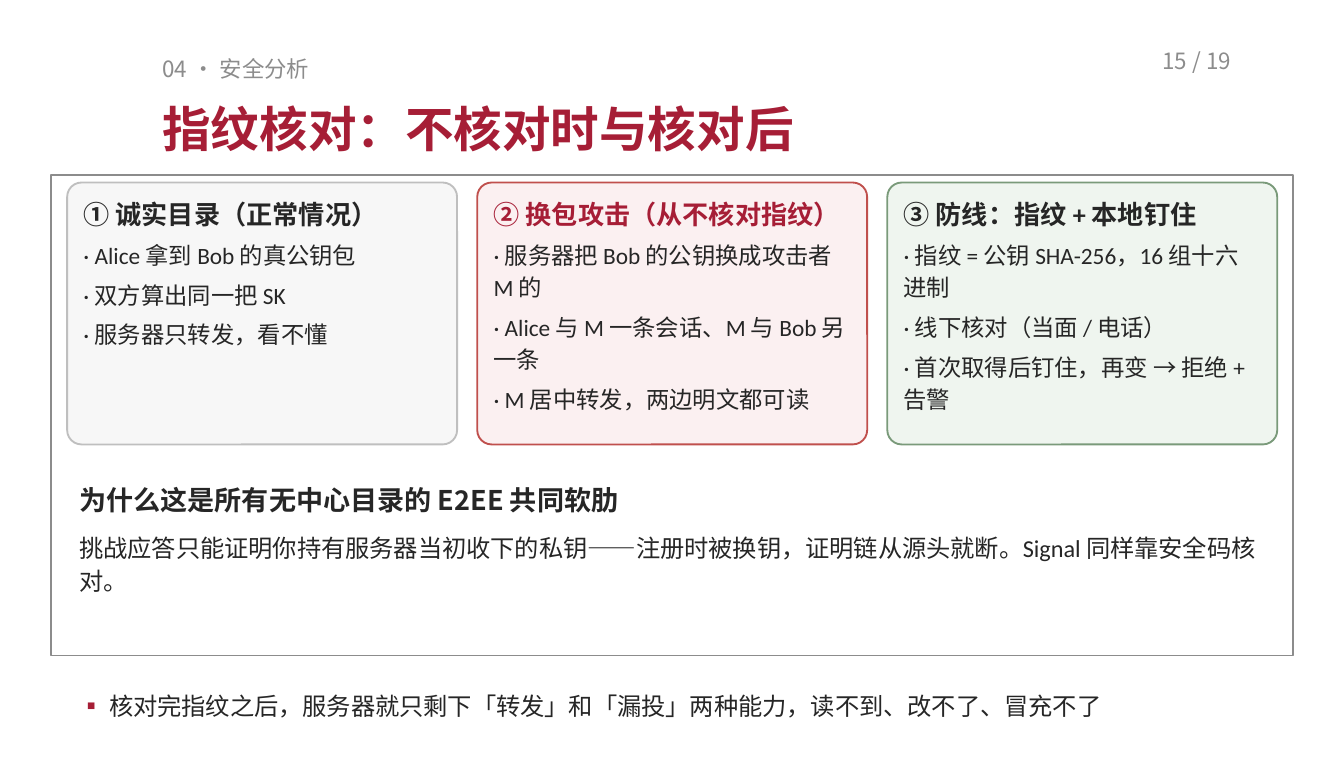
from pptx import Presentation
from pptx import util as u
from pptx.dml.color import RGBColor
from pptx.enum import shapes, text
from pptx.oxml.ns import qn

NOTO, CALIBRI = "Noto Sans CJK SC", "Calibri"
INK, RED, GRAY = "262626", "A61E36", "8C8C8C"


def color(value):
    return RGBColor.from_string(value)


class Deck:
    """Holds the style and the current slide, with a method for each kind of element."""

    def __init__(self, width, height):
        self.file = Presentation()
        self.file.slide_width, self.file.slide_height = u.Cm(width), u.Cm(height)
        self.slide = self.file.slides.add_slide(self.file.slide_layouts[5])

    def frame(self, shape, margins=(0.23, 0.13, 0.23, 0.1), grow=True):
        body = shape.text_frame
        body.word_wrap = True
        body.vertical_anchor = text.MSO_ANCHOR.TOP
        body.auto_size = text.MSO_AUTO_SIZE.SHAPE_TO_FIT_TEXT if grow else text.MSO_AUTO_SIZE.NONE
        body.margin_left, body.margin_top, body.margin_right, body.margin_bottom = map(u.Cm, margins)
        return body

    def add_runs(self, paragraph, runs, size, font=CALIBRI, spacing=1.15, after=4):
        paragraph.alignment = text.PP_ALIGN.LEFT
        paragraph.line_spacing = spacing
        paragraph.space_before, paragraph.space_after = u.Pt(0), u.Pt(after)
        for words, ink, bold in runs:
            run = paragraph.add_run()
            run.text = words
            run.font.size, run.font.bold, run.font.name = u.Pt(size), bold, font
            run.font.color.rgb = color(ink)
            properties = run._r.get_or_add_rPr()
            east = properties.makeelement(qn("a:ea"), {"typeface": NOTO})
            properties.find(qn("a:latin")).addnext(east)

    def title(self, box, words):
        heading = self.slide.shapes.title
        heading.left, heading.top, heading.width, heading.height = map(u.Cm, box)
        self.add_runs(self.frame(heading).paragraphs[0], [(words, RED, True)], 26)

    def label(self, box, runs, size, margins=(0.23, 0.13, 0.23, 0.1), **style):
        area = self.slide.shapes.add_textbox(*map(u.Cm, box))
        self.add_runs(self.frame(area, margins).paragraphs[0], runs, size, **style)

    def panel(self, kind, box, line, fill=None):
        panel = self.slide.shapes.add_shape(kind, *map(u.Cm, box))
        panel.shadow.inherit = False
        panel.line.color.rgb, panel.line.width = color(line), u.Pt(1)
        if fill:
            panel.fill.solid()
            panel.fill.fore_color.rgb = color(fill)
        else:
            panel.fill.background()
        return panel

    def card(self, box, fill, line, ink, heading, points):
        card = self.panel(shapes.MSO_SHAPE.ROUNDED_RECTANGLE, box, line, fill)
        card.adjustments[0] = 0.055
        body = self.frame(card, grow=False)
        self.add_runs(body.paragraphs[0], [(heading, ink, True)], 14)
        for point in points:
            self.add_runs(body.add_paragraph(), [("· " + point, INK, False)], 12.5)


def main():
    deck = Deck(25.4, 14.4)
    deck.label((21.72, 0.76, 2.29, 0.76), [("15 / 19", GRAY, False)], 12,
               margins=(0.25, 0.13, 0.25, 0.13), font=NOTO, spacing=1.0, after=0)
    deck.label((2.84, 0.86, 11.43, 0.76), [("04 · 安全分析", GRAY, False)], 12,
               font=NOTO, spacing=1.1, after=3)
    deck.title((2.84, 1.57, 21.08, 1.57), "指纹核对：不核对时与核对后")

    scenarios = [
        ("F7F7F7", "BFBFBF", INK, "① 诚实目录（正常情况）",
         ["Alice 拿到 Bob 的真公钥包", "双方算出同一把 SK", "服务器只转发，看不懂"]),
        ("FBF0F1", "C0504D", RED, "② 换包攻击（从不核对指纹）",
         ["服务器把 Bob 的公钥换成攻击者 M 的", "Alice 与 M 一条会话、M 与 Bob 另一条",
          "M 居中转发，两边明文都可读"]),
        ("EFF5EF", "7A9A7A", INK, "③ 防线：指纹 + 本地钉住",
         ["指纹 = 公钥 SHA-256，16 组十六进制", "线下核对（当面 / 电话）",
          "首次取得后钉住，再变 → 拒绝 + 告警"]),
    ]
    left, width, gap = 1.27, 7.37, 0.38
    for column, scenario in enumerate(scenarios):
        deck.card((left + column * (width + gap), 3.45, width, 4.95), *scenario)

    deck.label((left, 8.94, 22.86, 0.89), [("为什么这是所有无中心目录的 E2EE 共同软肋", INK, True)],
               14.5, font=NOTO, spacing=1.1, after=3)
    reason = ("挑战应答只能证明你持有服务器当初收下的私钥——注册时被换钥，"
              "证明链从源头就断。Signal 同样靠安全码核对。")
    deck.label((left, 9.86, 22.86, 2.41), [(reason, INK, False)], 13)
    conclusion = "核对完指纹之后，服务器就只剩下「转发」和「漏投」两种能力，读不到、改不了、冒充不了"
    deck.label((left, 12.85, 22.99, 1.4), [("▪ ", RED, True), (conclusion, INK, False)], 13)
    deck.panel(shapes.MSO_SHAPE.RECTANGLE, (0.97, 3.3, 23.47, 9.09), GRAY)
    deck.file.save("out.pptx")


if __name__ == "__main__":
    main()
